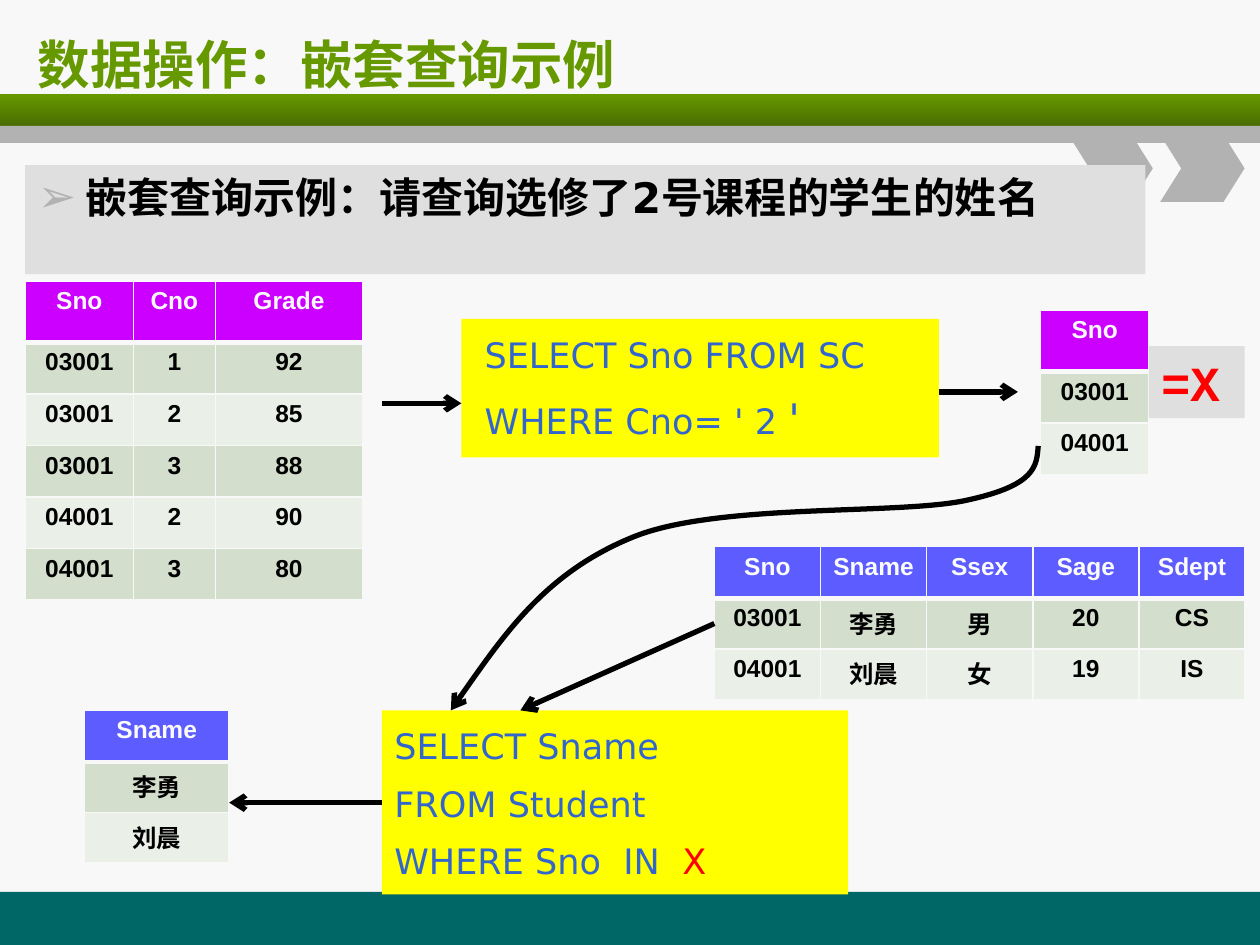
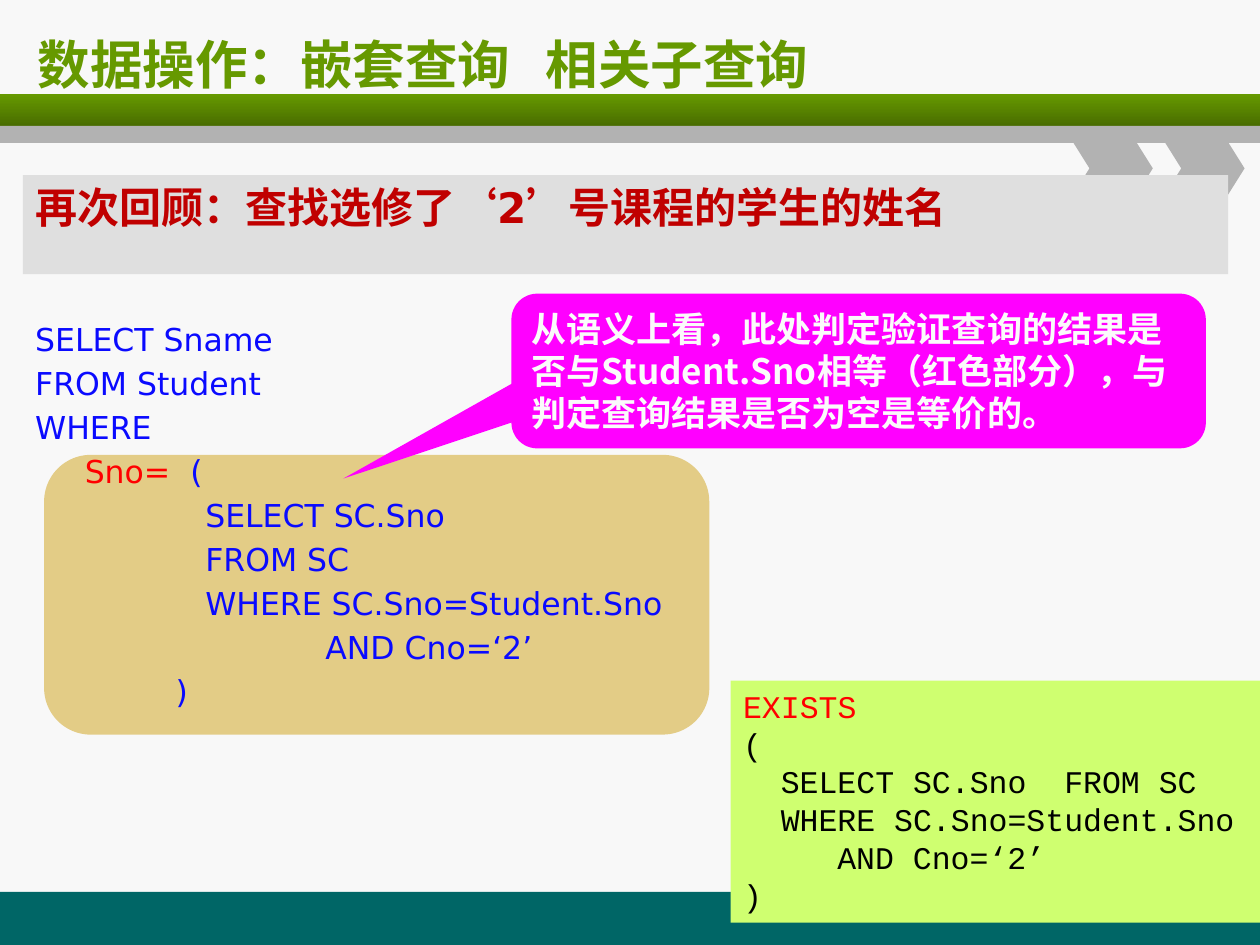
from dataclasses import dataclass, replace
from itertools import count

from pptx import Presentation
from pptx import util as u
from pptx.dml.color import RGBColor
from pptx.enum import shapes, text
from pptx.oxml import ns
from lxml import etree


@dataclass(frozen=True)
class Theme:
    """Colours and type sizes of the deck."""
    page: str = "F8F8F8"
    green: str = "669900"
    dark_green: str = "496D00"
    grey: str = "B2B2B2"
    panel: str = "DFDFDF"
    teal: str = "006666"
    yellow: str = "FFFF00"
    purple: str = "CC00FF"
    violet: str = "5C5CFF"
    magenta: str = "FF00FF"
    sand: str = "CC9900"
    lime: str = "CFFF70"
    row_dark: str = "D3DECC"
    row_light: str = "EAEFE7"
    black: str = "000000"
    white: str = "FBFBFB"
    red: str = "FF0000"
    dark_red: str = "C00000"
    sql_blue: str = "3366CC"
    code_blue: str = "0A0AFF"
    title_size: int = 30
    mark_size: int = 28
    heading_size: int = 24
    query_size: int = 20
    code_size: int = 18
    table_size: int = 14


@dataclass(frozen=True)
class Box:
    """A region in centimetres."""
    left: float
    top: float
    width: float
    height: float

    def lengths(self):
        return [u.Cm(n) for n in (self.left, self.top, self.width, self.height)]


@dataclass(frozen=True)
class Style:
    size: int
    colour: str
    font: str = "DejaVu Sans"
    bold: bool = False
    gap: bool = True
    line_spacing: object = None
    align: object = text.PP_ALIGN.LEFT


THEME = Theme()
TITLE = Style(THEME.title_size, THEME.green, bold=True, gap=False)
HEADING = Style(THEME.heading_size, THEME.black, bold=True)
QUERY = Style(THEME.query_size, THEME.sql_blue, line_spacing=1.2)
CODE = Style(THEME.code_size, THEME.code_blue)
MONO = Style(THEME.code_size, THEME.black, "Courier New", gap=False)
MARK = Style(THEME.mark_size, THEME.red, "Courier New", True, False,
             align=text.PP_ALIGN.RIGHT)
NOTE = Style(THEME.query_size, THEME.white, "Noto Sans CJK SC", True, False, u.Pt(24))
CELL = Style(THEME.table_size, THEME.black, "Arial", True,
             align=text.PP_ALIGN.CENTER)


# ---- Basic parts ----

def colour(value):
    return RGBColor.from_string(value)


def add_xml(parent, tag, **attributes):
    return etree.SubElement(parent, ns.qn(tag), attributes)


def write(frame, lines, style):
    """Each line is (indent in cm, run, ...); a run is text or (text, changes)."""
    for number, (indent, *runs) in enumerate(lines):
        paragraph = frame.add_paragraph() if number else frame.paragraphs[0]
        paragraph.alignment = style.align
        if style.gap:
            paragraph.space_before = u.Pt(round(0.2 * style.size, 1))
        if style.line_spacing:
            paragraph.line_spacing = style.line_spacing
        if indent:
            paragraph._p.get_or_add_pPr().set("marL", str(u.Cm(indent)))
        for item in runs:
            words, changes = (item, {}) if isinstance(item, str) else item
            look = replace(style, **changes)
            run = paragraph.add_run()
            run.text = words
            run.font.name, run.font.size = look.font, u.Pt(look.size)
            run.font.bold = look.bold
            run.font.color.rgb = colour(look.colour)


def add_block(parent, box, fill, kind=shapes.MSO_SHAPE.RECTANGLE, adjustments=()):
    """Add a plain filled shape to a slide or a group."""
    shape = parent.shapes.add_shape(kind, *box.lengths())
    shape.shadow.inherit = False
    shape.fill.solid()
    shape.fill.fore_color.rgb = colour(fill)
    shape.line.fill.background()
    for index, value in enumerate(adjustments):
        shape.adjustments[index] = value
    return shape


def add_panel(slide, box, fill, lines, style, **form):
    """A filled shape with text from its top edge."""
    shape = add_block(slide, box, fill, **form)
    shape.text_frame.word_wrap = True
    shape.text_frame.vertical_anchor = text.MSO_ANCHOR.TOP
    write(shape.text_frame, lines, style)
    return shape


def draw_arrow_line(shape):
    shape.line.color.rgb = colour(THEME.black)
    shape.line.width = u.Pt(3)
    add_xml(shape.line._get_or_add_ln(), "a:tailEnd", type="arrow")


def add_arrow(slide, start, end):
    connector = slide.shapes.add_connector(
        shapes.MSO_CONNECTOR.STRAIGHT, *[u.Cm(n) for n in (*start, *end)])
    draw_arrow_line(connector)
    add_xml(connector._element.spPr, "a:effectLst")


def add_curved_arrow(slide, start, points):
    """Every three points make one cubic segment."""
    builder = slide.shapes.build_freeform(*[u.Cm(n) for n in start])
    builder.add_line_segments([(u.Cm(x), u.Cm(y)) for x, y in points], close=False)
    shape = builder.convert_to_shape()
    segments = list(shape._element.iter(ns.qn("a:lnTo")))
    for first in range(0, len(segments), 3):
        curve = etree.Element(ns.qn("a:cubicBezTo"))
        segments[first].addprevious(curve)
        for segment in segments[first:first + 3]:
            curve.append(segment[0])
            segment.getparent().remove(segment)
    shape.shadow.inherit = False
    shape.fill.background()
    draw_arrow_line(shape)


def add_borders(cell, row):
    """Thin page-coloured rules, with a thick one below the header."""
    thick = {(0, "B"), (1, "T")}
    for side in "LRTB":
        width = u.Pt(3 if (row, side) in thick else 1)
        line = add_xml(cell._tc.get_or_add_tcPr(), f"a:ln{side}", w=str(width))
        add_xml(add_xml(line, "a:solidFill"), "a:srgbClr", val=THEME.page)


def add_data_table(slide, left, top, widths, heights, rows, header_fill, header_text):
    box = Box(left, top, sum(widths), sum(heights))
    table = slide.shapes.add_table(len(rows), len(widths), *box.lengths()).table
    for column, width in zip(table.columns, widths):
        column.width = u.Cm(width)
    for number, values in enumerate(rows):
        table.rows[number].height = u.Cm(heights[number])
        fill = THEME.row_dark if number % 2 else THEME.row_light
        style = CELL
        if number == 0:
            fill, style = header_fill, replace(CELL, colour=header_text)
        for index, value in enumerate(values):
            cell = table.cell(number, index)
            cell.margin_left = cell.margin_right = u.Cm(0.2)
            add_borders(cell, number)
            cell.fill.solid()
            cell.fill.fore_color.rgb = colour(fill)
            write(cell.text_frame, [(0, value)], style)


# ---- Shared frame ----

def add_frame(slide, layout):
    """Draw the bands and chevrons, then hand them to the layout."""
    footer = add_block(slide, Box(0, 17.98, 25.4, 1.07), THEME.teal)
    header = slide.shapes.add_group_shape()
    band = add_block(header, Box(0, 1.9, 25.4, 0.64), THEME.green)
    band.fill.gradient()
    band.fill.gradient_angle = 270
    for stop, value in zip(band.fill.gradient_stops, (THEME.green, THEME.dark_green)):
        stop.color.rgb = colour(value)
    add_block(header, Box(0, 2.54, 25.4, 0.34), THEME.grey)
    for number in range(2):
        add_block(header, Box(21.54 + 1.85 * number, 2.72, 1.7, 1.35), THEME.grey,
                  shapes.MSO_SHAPE.CHEVRON, [0.314])
    numbers = count(100)
    for part in (footer, header):
        layout.shapes._spTree.append(part._element)
        for properties in part._element.iter(ns.qn("p:cNvPr")):
            properties.set("id", str(next(numbers)))


def add_title(slide, words):
    title = slide.shapes.title
    title.left, title.top, title.width, title.height = Box(0.51, 0.43, 24.26, 1.7).lengths()
    title.text_frame.auto_size = text.MSO_AUTO_SIZE.NONE
    title.text_frame.vertical_anchor = text.MSO_ANCHOR.MIDDLE
    write(title.text_frame, [(0, words)], TITLE)


# ---- Slide 1: nested query ----

def add_question(slide, box):
    panel = add_panel(slide, box, THEME.panel,
                      [(0.97, "嵌套查询示例：请查询选修了2号课程的学生的姓名")], HEADING)
    properties = panel.text_frame.paragraphs[0]._p.get_or_add_pPr()
    properties.set("indent", str(-u.Cm(0.97)))
    add_xml(add_xml(properties, "a:buClr"), "a:srgbClr", val=THEME.grey)
    add_xml(properties, "a:buSzPct", val="110000")
    add_xml(properties, "a:buFont", typeface=HEADING.font)
    add_xml(properties, "a:buChar", char="➢")


def add_queries(slide, inner, outer):
    add_panel(slide, outer, THEME.yellow,
              [(0, "SELECT Sname"), (0, "FROM Student"),
               (0, "WHERE Sno  IN  ", ("X", {"colour": THEME.red}))], QUERY)
    add_panel(slide, inner, THEME.yellow,
              [(0.22, "SELECT Sno FROM SC"),
               (0.22, "WHERE Cno= ' 2 ", ("'", {"size": THEME.heading_size}))], QUERY)


def add_tables(slide):
    course = (THEME.purple, THEME.page)
    student = (THEME.violet, THEME.white)
    short_rows = [1.04, 1.02, 1.02]
    add_data_table(slide, 0.51, 5.66, [2.18, 1.65, 2.97], [1.24] + [1.04] * 5,
                   [("Sno", "Cno", "Grade"), ("03001", "1", "92"),
                    ("03001", "2", "85"), ("03001", "3", "88"),
                    ("04001", "2", "90"), ("04001", "3", "80")], *course)
    add_data_table(slide, 20.98, 6.25, [2.18], [1.24, 1.04, 1.04],
                   [("Sno",), ("03001",), ("04001",)], *course)
    add_data_table(slide, 14.4, 11.02, [2.14] * 5, short_rows,
                   [("Sno", "Sname", "Ssex", "Sage", "Sdept"),
                    ("03001", "李勇", "男", "20", "CS"),
                    ("04001", "刘晨", "女", "19", "IS")], *student)
    add_data_table(slide, 1.7, 14.32, [2.92], short_rows,
                   [("Sname",), ("李勇",), ("刘晨",)], *student)


def add_result_mark(slide, box):
    mark = add_panel(slide, box, THEME.panel, [(0, "=X")], MARK)
    mark.text_frame.word_wrap = False
    mark.text_frame.margin_right = u.Cm(0.5)


def build_nested_query(slide):
    add_title(slide, "数据操作：嵌套查询示例")
    add_question(slide, Box(0.51, 3.33, 22.58, 2.2))
    add_queries(slide, Box(9.3, 6.43, 9.63, 2.79), Box(7.7, 14.32, 9.4, 3.71))
    add_tables(slide)
    add_result_mark(slide, Box(23.16, 6.98, 1.93, 1.45))
    # Flow from table to query to result
    for start, end in [((7.7, 8.13), (9.3, 8.13)), ((18.92, 7.9), (20.52, 7.9)),
                       ((14.4, 12.57), (10.49, 14.32)), ((7.7, 16.18), (4.62, 16.18))]:
        add_arrow(slide, start, end)
    add_curved_arrow(slide, (20.93, 8.99), [
        (20.9, 9.4), (20.88, 9.78), (19.51, 10.08),
        (18.16, 10.39), (14.5, 10.13), (12.78, 10.82),
        (11.02, 11.53), (10.06, 12.93), (9.09, 14.32)])


# ---- Slide 2: correlated subquery ----

def add_main_query(slide, box):
    """The subquery's backdrop and the whole statement over it."""
    backdrop = add_block(slide, Box(box.left + 0.43, box.top + 2.85, 13.41, 5.64),
                         THEME.sand, shapes.MSO_SHAPE.ROUNDED_RECTANGLE)
    tint = next(backdrop._element.spPr.iter(ns.qn("a:srgbClr")))
    add_xml(tint, "a:alpha", val="46000")
    frame = slide.shapes.add_textbox(*box.lengths()).text_frame
    frame.word_wrap = True
    write(frame, [(0, "SELECT Sname"), (0, "FROM Student"), (0, "WHERE"),
                  (1, ("Sno=", {"colour": THEME.red}), "  ("),
                  (3.43, "SELECT SC.Sno"), (3.43, "FROM SC"),
                  (3.43, "WHERE SC.Sno=Student.Sno"),
                  (5.85, "AND Cno=‘2’"), (2.83, ")")], CODE)


def add_exists_query(slide, box):
    letter = 0.38
    add_panel(slide, box, THEME.lime,
              [(0, ("EXISTS", {"colour": THEME.red})), (0, "("),
               (2 * letter, "SELECT SC.Sno  FROM SC"),
               (2 * letter, "WHERE SC.Sno=Student.Sno"),
               (5 * letter, "AND Cno=‘2’"), (0, ")")], MONO)


def build_correlated_query(slide):
    add_title(slide, "数据操作：嵌套查询   相关子查询")
    add_main_query(slide, Box(0.46, 6.32, 15.57, 8.61))
    add_panel(slide, Box(0.46, 3.53, 24.3, 2), THEME.panel,
              [(0, "再次回顾：查找选修了‘2’号课程的学生的姓名")],
              replace(HEADING, colour=THEME.dark_red))
    add_panel(slide, Box(10.31, 5.92, 14, 3.12), THEME.magenta,
              [(0, "从语义上看，此处判定验证查询的结果是否与Student.Sno相等（红色部分），"
                   "与判定查询结果是否为空是等价的。")], NOTE,
              kind=shapes.MSO_SHAPE.ROUNDED_RECTANGULAR_CALLOUT,
              adjustments=[-0.742, 0.695, 0.167])
    add_exists_query(slide, Box(14.73, 13.72, 10.67, 4.88))


# ---- Presentation ----

presentation = Presentation()
presentation.slide_width, presentation.slide_height = u.Cm(25.4), u.Cm(19.05)
background = presentation.slide_master.background.fill
background.solid()
background.fore_color.rgb = colour(THEME.page)
title_only = presentation.slide_layouts[5]
first, second = [presentation.slides.add_slide(title_only) for _ in range(2)]
add_frame(first, title_only)
build_nested_query(first)
build_correlated_query(second)
presentation.save("out.pptx")
